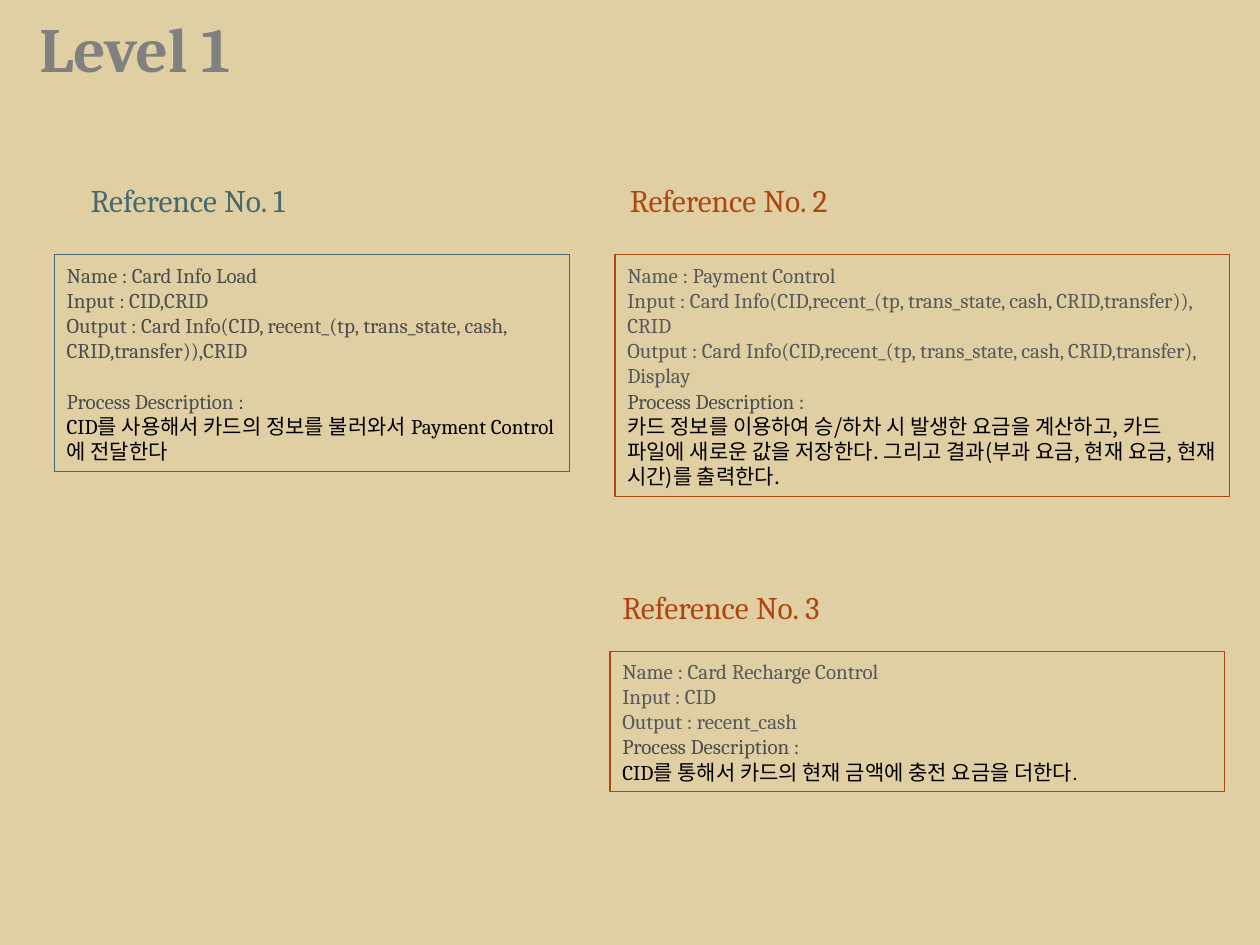
from lxml import etree
from pptx import Presentation
from pptx.dml.color import RGBColor
from pptx.enum import shapes, text
from pptx.oxml.ns import qn
from pptx.util import Inches, Pt

SAND = RGBColor(0xE0, 0xCF, 0xA3)
TEAL = RGBColor(0x46, 0x69, 0x6D)
RUST = RGBColor(0xAE, 0x46, 0x0F)
GRAY = RGBColor(0x80, 0x80, 0x80)
MID = RGBColor(0x59, 0x59, 0x59)
DARK = RGBColor(0x4D, 0x4D, 0x4D)
BLACK = RGBColor(0, 0, 0)
LATIN, HANGUL = "Cambria", "Noto Sans CJK KR"


def write(para, words, size=12, color=DARK, font=LATIN, bold=False,
          align=text.PP_ALIGN.LEFT, before=0):
    para.alignment = align
    if before:
        para.space_before = Pt(before)
    run = para.add_run()
    run.text = words
    run.font.size = Pt(size)
    run.font.bold = bold
    run.font.name = font
    run.font.color.rgb = color
    # East Asian typeface for the Korean text
    etree.SubElement(run.font._element, qn("a:ea"), typeface=HANGUL)
    return run


def label(slide, box, words, **style):
    frame = slide.shapes.add_textbox(*map(Inches, box)).text_frame
    frame.word_wrap = True
    return write(frame.paragraphs[0], words, **style)


def title(slide, box, words):
    run = label(slide, box, words, size=36, color=GRAY, bold=True,
                align=text.PP_ALIGN.CENTER)
    # Letter outline
    line = etree.Element(qn("a:ln"), w=str(Pt(2)))
    fill = etree.SubElement(line, qn("a:solidFill"))
    etree.SubElement(fill, qn("a:srgbClr"), val=str(MID))
    run.font._element.insert(0, line)


def card(slide, box, facts, detail, edge, tone, font=LATIN, gap=0):
    rect = slide.shapes.add_shape(shapes.MSO_SHAPE.RECTANGLE, *map(Inches, box))
    rect.shadow.inherit = False
    rect.fill.background()
    rect.line.color.rgb = edge
    rect.line.width = Pt(0.75)
    frame = rect.text_frame
    frame.word_wrap = True
    frame.vertical_anchor = text.MSO_ANCHOR.MIDDLE
    para = frame.paragraphs[0]
    for key, value in zip(("Name", "Input", "Output"), facts):
        write(para, f"{key} : {value}", color=tone)
        para = frame.add_paragraph()
    write(para, "Process Description :", before=gap)
    write(frame.add_paragraph(), detail, color=BLACK, font=font)


def main():
    deck = Presentation()
    deck.slide_width, deck.slide_height = Inches(10), Inches(7.5)
    slide = deck.slides.add_slide(deck.slide_layouts[6])
    slide.background.fill.solid()
    slide.background.fill.fore_color.rgb = SAND

    title(slide, (0, 0.03, 2.14, 0.71), "Level 1")

    # Reference headings
    heads = [(0.62, 1.39, TEAL), (4.9, 1.39, RUST), (4.84, 4.62, RUST)]
    for num, (left, top, color) in enumerate(heads, 1):
        label(slide, (left, top, 1.88, 0.4), f"Reference No. {num}",
              size=18, color=color)

    # Process cards
    card(slide, (0.43, 2.02, 4.09, 1.72),
         ("Card Info Load", "CID,CRID",
          "Card Info(CID, recent_(tp, trans_state, cash, CRID,transfer)),CRID"),
         "CID를 사용해서 카드의 정보를 불러와서 Payment Control에 전달한다",
         TEAL, DARK, gap=14.4)
    card(slide, (4.88, 2.02, 4.88, 1.92),
         ("Payment Control",
          "Card Info(CID,recent_(tp, trans_state, cash, CRID,transfer)), CRID",
          "Card Info(CID,recent_(tp, trans_state, cash, CRID,transfer), Display"),
         "카드 정보를 이용하여 승/하차 시 발생한 요금을 계산하고, 카드 파일에 새로운 값을 "
         "저장한다. 그리고 결과(부과 요금, 현재 요금, 현재 시간)를 출력한다.",
         RUST, MID, font=HANGUL)
    card(slide, (4.84, 5.17, 4.88, 1.11),
         ("Card Recharge Control", "CID", "recent_cash"),
         "CID를 통해서 카드의 현재 금액에 충전 요금을 더한다.", RUST, MID)

    deck.save("out.pptx")


if __name__ == "__main__":
    main()
